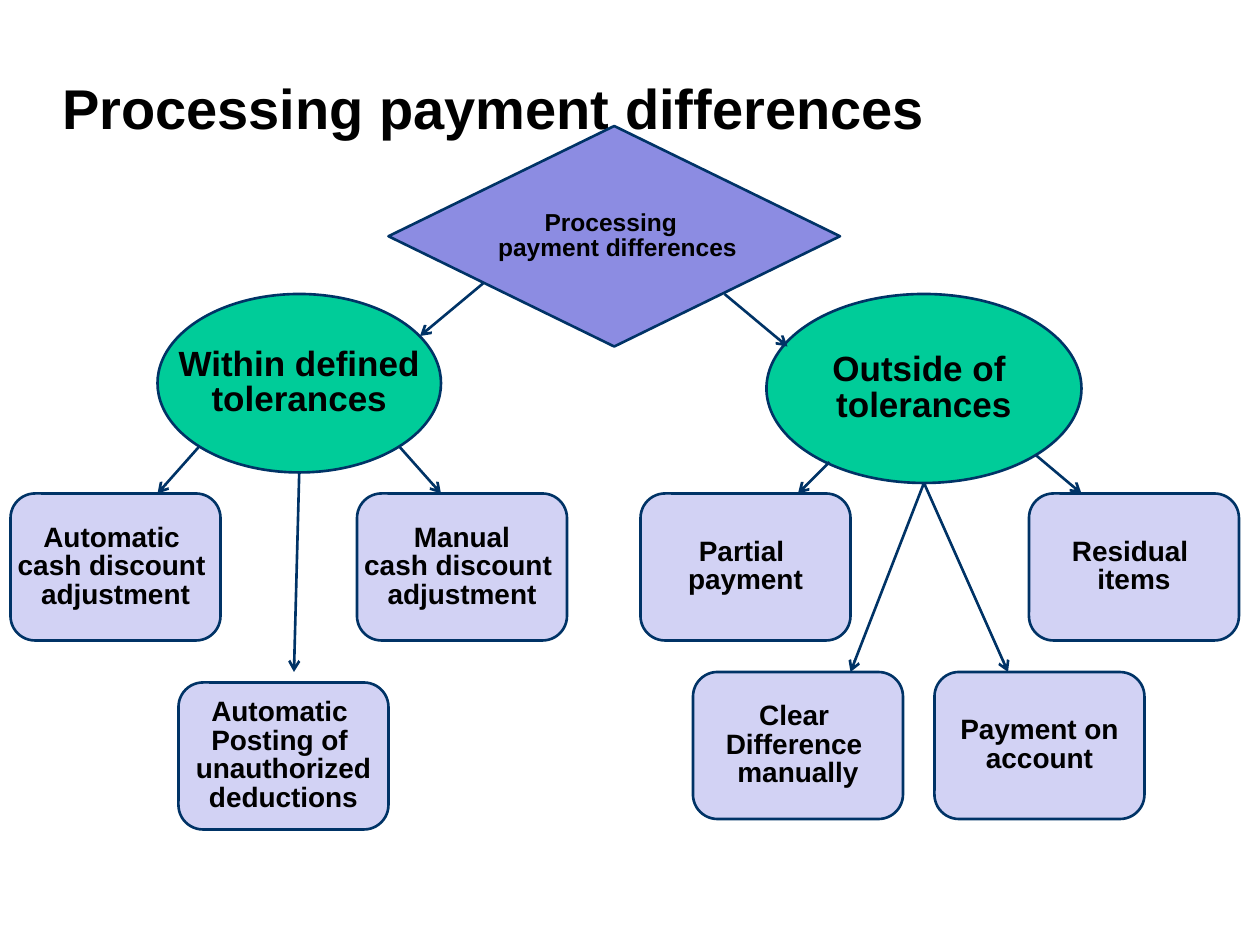
"""Build a decision-tree slide about processing payment differences."""
from lxml import etree
from pptx import Presentation
from pptx.dml.color import RGBColor
from pptx.enum.shapes import MSO_CONNECTOR, MSO_SHAPE
from pptx.enum.text import MSO_ANCHOR, PP_ALIGN
from pptx.oxml.ns import qn
from pptx.util import Cm, Pt

DECISION, OVAL, ROUNDED = (
    MSO_SHAPE.FLOWCHART_DECISION, MSO_SHAPE.OVAL, MSO_SHAPE.ROUNDED_RECTANGLE)
STRAIGHT = MSO_CONNECTOR.STRAIGHT
MIDDLE, LEFT, CENTER = MSO_ANCHOR.MIDDLE, PP_ALIGN.LEFT, PP_ALIGN.CENTER

TITLE = "Processing payment differences"
QUESTION = ((37, 12, 43, 21), ["Processing ", " payment differences"])
BRANCHES = [
    ((15, 28, 27, 17), [" Within defined ", "tolerances"]),
    ((73, 28, 30, 18), ["Outside of ", "tolerances"]),
]
OUTCOMES = [
    ((1, 47), ["Automatic ", "cash discount ", "adjustment"]),
    ((34, 47), ["Manual", "cash discount ", "adjustment"]),
    ((17, 65), ["Automatic ", "Posting of ", "unauthorized", "deductions"]),
    ((61, 47), ["Partial ", "payment"]),
    ((98, 47), ["Residual ", "items"]),
    ((66, 64), ["Clear ", "Difference ", "manually"]),
    ((89, 64), ["Payment on", "account"]),
]
ARROWS = [
    (46, 27, 40, 32), (69, 28, 75, 33),
    (19, 42.5, 15, 47), (28.5, 45, 28, 64), (38, 42.5, 42, 47),
    (79, 44, 76, 47), (88, 46, 81, 64), (88, 46, 96, 64), (98.6, 43.3, 103, 47),
]
OUTCOME_SIZE = (20, 14)
GRID = Cm(25.4) / 120

THEME = {
    "font": "Arial",
    "text": RGBColor.from_string("000000"),
    "line": RGBColor.from_string("003366"),
    "line_width": Pt(1.5),
    "spacing": 0.85,
    "title_size": Pt(32),
    "question": {"fill": "3333CC", "size": Pt(14), "alpha": 56},
    "branch": {"fill": "00CC99", "size": Pt(20)},
    "outcome": {"fill": "D2D2F4", "size": Pt(16)},
}


def apply(target, values):
    """Set each named attribute on the target."""
    for name, value in values.items():
        setattr(target, name, value)


def on_grid(values):
    """Turn grid steps into slide lengths."""
    return [round(value * GRID) for value in values]


def write(frame, lines, size, alignment):
    """Write one formatted paragraph for each line."""
    frame.text = "\n".join(lines)
    for para in frame.paragraphs:
        apply(para, {"alignment": alignment, "line_spacing": THEME["spacing"]})
        for span in para.runs:
            apply(span.font, {"name": THEME["font"], "size": size, "bold": True})
            span.font.color.rgb = THEME["text"]


def style_line(line):
    """Give an outline or arrow the diagram's line style."""
    line.color.rgb = THEME["line"]
    line.width = THEME["line_width"]


def add_node(page, kind, place, lines, style):
    """Add one labelled shape of the tree."""
    node = page.shapes.add_shape(kind, *on_grid(place))
    node.shadow.inherit = False
    node.fill.solid()
    node.fill.fore_color.rgb = RGBColor.from_string(style["fill"])
    if "alpha" in style:
        color = next(node._element.spPr.iter(qn("a:srgbClr")))
        etree.SubElement(color, qn("a:alpha"), val=str(style["alpha"] * 1000))
    style_line(node.line)
    apply(node.text_frame, {"word_wrap": False, "vertical_anchor": MIDDLE})
    write(node.text_frame, lines, style["size"], CENTER)


def add_arrow(page, ends):
    """Add one arrow between two grid points."""
    arrow = page.shapes.add_connector(STRAIGHT, *on_grid(ends))
    style_line(arrow.line)
    etree.SubElement(arrow.line._get_or_add_ln(), qn("a:tailEnd"), type="arrow")
    etree.SubElement(arrow._element.spPr, qn("a:effectLst"))


def add_title(page):
    """Place and format the slide title."""
    title = page.shapes.title
    apply(title, {"left": Cm(1.25), "top": Cm(1.35),
                  "width": Cm(24.25), "height": Cm(1.85)})
    apply(title.text_frame, {
        "margin_left": 0, "margin_right": 0, "margin_top": 0,
        "margin_bottom": 0, "word_wrap": True, "vertical_anchor": MIDDLE})
    write(title.text_frame, [TITLE], THEME["title_size"], LEFT)


def main():
    """Assemble and save the deck."""
    deck = Presentation()
    apply(deck, {"slide_width": Cm(25.4), "slide_height": Cm(19.05)})
    page = deck.slides.add_slide(deck.slide_layouts[5])
    add_title(page)
    add_node(page, DECISION, *QUESTION, THEME["question"])
    for place, lines in BRANCHES:
        add_node(page, OVAL, place, lines, THEME["branch"])
    for corner, lines in OUTCOMES:
        add_node(page, ROUNDED, corner + OUTCOME_SIZE, lines, THEME["outcome"])
    for ends in ARROWS:
        add_arrow(page, ends)
    deck.save("out.pptx")


if __name__ == "__main__":
    main()
